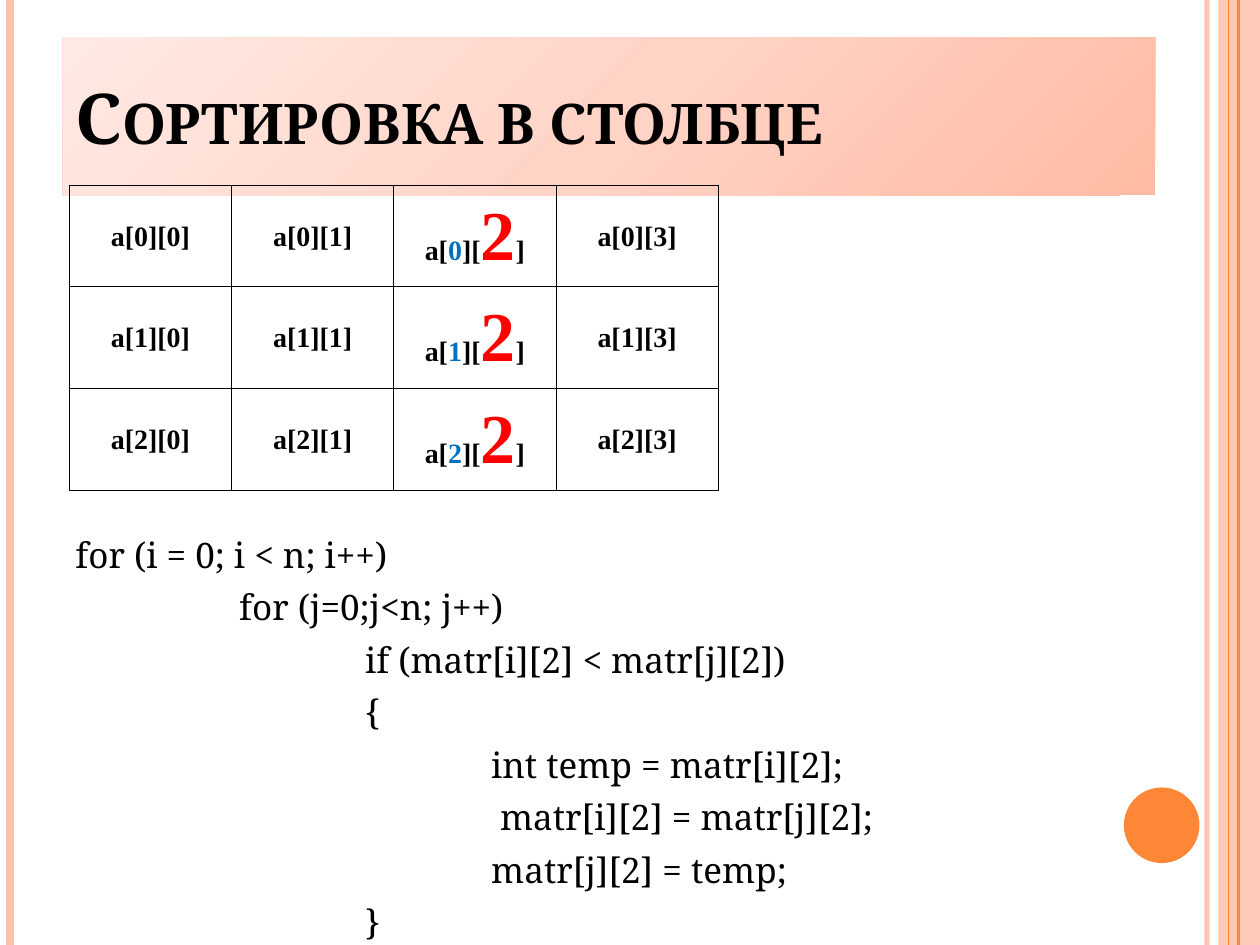
from lxml import etree
from pptx import Presentation
from pptx.dml.color import RGBColor
from pptx.enum.shapes import MSO_CONNECTOR, MSO_SHAPE
from pptx.enum.text import MSO_ANCHOR, PP_ALIGN
from pptx.oxml import parse_xml
from pptx.oxml.ns import nsdecls, qn
from pptx.util import Inches, Pt

STRAIGHT = MSO_CONNECTOR.STRAIGHT
RECTANGLE, OVAL = MSO_SHAPE.RECTANGLE, MSO_SHAPE.OVAL
MIDDLE, CENTER = MSO_ANCHOR.MIDDLE, PP_ALIGN.CENTER

WIDTH, HEIGHT = 10, 7.5
BLACK, BLUE, RED = "000000", "0070C0", "FF0000"
ORANGE, PEACH = "FE8637", "FEC3AE"
SERIF, TIMES = "Noto Serif", "Times New Roman"

TITLE = "Сортировка в столбце"
TITLE_GRADIENT = [(0, "FFBBA3"), (50, "FFD4C7"), (100, "FFEAE4")]
ROWS, COLUMNS, SORTED_COLUMN = 3, 4, 2
# Each code line with its left indent in inches
CODE = [
    (0, "for (i = 0; i < n; i++)"),
    (1.3, "for (j=0;j<n; j++)"),
    (2.3, "if (matr[i][2] < matr[j][2])"),
    (2.3, "{"),
    (3.3, "int temp = matr[i][2];"),
    (3.37, "matr[i][2] = matr[j][2];"),
    (3.3, "matr[j][2] = temp;"),
    (2.3, "}"),
]
# Each vertical line: x, colour, width in points, opacity in percent
RULES = [
    (9.58, PEACH, 3, 93),
    (0.08, PEACH, 4.5, 100),
    (9.83, ORANGE, 1.5, 100),
    (9.75, ORANGE, 0.75, 100),
]


def color(hex_string):
    """Turn a hex string into a colour."""
    return RGBColor.from_string(hex_string)


def set_alpha(element, percent):
    """Set the opacity of the solid colour inside an element."""
    for color_element in element.iter(qn("a:srgbClr")):
        etree.SubElement(color_element, qn("a:alpha")).set("val", str(percent * 1000))


def format_run(run, size, font, hex_string=BLACK, bold=False):
    """Set the font of one run."""
    run.font.size = Pt(size)
    run.font.name = font
    run.font.bold = bold
    run.font.color.rgb = color(hex_string)


def add_plain_shape(slide, kind, box, hex_string):
    """Add a filled shape without outline or shadow."""
    shape = slide.shapes.add_shape(kind, *map(Inches, box))
    shape.shadow.inherit = False
    shape.line.fill.background()
    shape.fill.solid()
    shape.fill.fore_color.rgb = color(hex_string)
    return shape


def add_rule(slide, x, hex_string, width, opacity):
    """Add a vertical line over the full height of the slide."""
    line = slide.shapes.add_connector(STRAIGHT, Inches(x), 0, Inches(x), Inches(HEIGHT))
    line.line.color.rgb = color(hex_string)
    line.line.width = Pt(width)
    properties = line._element.spPr
    if opacity < 100:
        set_alpha(properties, opacity)
    etree.SubElement(properties, qn("a:effectLst"))


def add_decoration(slide):
    """Draw the side stripes and the circle."""
    band = add_plain_shape(slide, RECTANGLE, (9.67, 0, 0.33, HEIGHT), PEACH)
    set_alpha(band._element.spPr, 87)
    for rule in RULES:
        add_rule(slide, *rule)
    add_plain_shape(slide, OVAL, (8.92, 6.25, 0.6, 0.6), ORANGE)


def add_title(slide, box):
    """Add the title in small capitals on a gradient."""
    shape = add_plain_shape(slide, RECTANGLE, box, PEACH)
    stops = "".join(
        f'<a:gs pos="{position * 1000}"><a:srgbClr val="{hex_string}"/></a:gs>'
        for position, hex_string in TITLE_GRADIENT
    )
    properties = shape._element.spPr
    gradient = parse_xml(
        f'<a:gradFill {nsdecls("a")} rotWithShape="1"><a:gsLst>{stops}</a:gsLst>'
        '<a:lin ang="13500000" scaled="0"/></a:gradFill>'
    )
    properties.replace(properties.find(qn("a:solidFill")), gradient)
    frame = shape.text_frame
    frame.text = TITLE
    frame.word_wrap = True
    frame.vertical_anchor = MIDDLE
    paragraph = frame.paragraphs[0]
    paragraph.alignment = PP_ALIGN.LEFT
    run = paragraph.runs[0]
    format_run(run, 40, SERIF, bold=True)
    run.font._element.set("cap", "small")


def set_borders(cell):
    """Give a cell thin black borders on all sides."""
    properties = cell._tc.get_or_add_tcPr()
    for index, side in enumerate(("lnL", "lnR", "lnT", "lnB")):
        border = parse_xml(
            f'<a:{side} {nsdecls("a")} w="6350"><a:solidFill>'
            f'<a:srgbClr val="{BLACK}"/></a:solidFill></a:{side}>'
        )
        properties.insert(index, border)


def fill_cell(cell, row, column):
    """Write one matrix element, with marked indices in the sorted column."""
    cell.fill.background()
    set_borders(cell)
    cell.vertical_anchor = MIDDLE
    cell.margin_left = cell.margin_right = cell.margin_top = Inches(0.01)
    cell.margin_bottom = 0
    pieces = [(f"a[{row}][{column}]", 16, BLACK)]
    if column == SORTED_COLUMN:
        pieces = [
            ("a[", 16, BLACK),
            (str(row), 16, BLUE),
            ("][", 16, BLACK),
            (str(column), 40, RED),
            ("]", 16, BLACK),
        ]
    paragraph = cell.text_frame.paragraphs[0]
    paragraph.alignment = CENTER
    for text, size, hex_string in pieces:
        run = paragraph.add_run()
        run.text = text
        format_run(run, size, TIMES, hex_string, bold=True)


def add_matrix(slide, box):
    """Add the table of matrix elements."""
    table = slide.shapes.add_table(ROWS, COLUMNS, *map(Inches, box)).table
    table.first_row = table.horz_banding = False
    for row in range(ROWS):
        for column in range(COLUMNS):
            fill_cell(table.cell(row, column), row, column)


def add_code(slide, box):
    """Add the code lines, indented by nesting level."""
    frame = slide.shapes.add_textbox(*map(Inches, box)).text_frame
    frame.word_wrap = True
    frame.margin_top = frame.margin_bottom = 0
    frame.text = "\n".join(text for _, text in CODE)
    for paragraph, (indent, _) in zip(frame.paragraphs, CODE):
        paragraph.line_spacing = Pt(30)
        paragraph._p.get_or_add_pPr().set("marL", str(Inches(indent)))
        format_run(paragraph.runs[0], 20, SERIF)


def main():
    """Build and save the slide."""
    presentation = Presentation()
    presentation.slide_width, presentation.slide_height = Inches(WIDTH), Inches(HEIGHT)
    slide = presentation.slides.add_slide(presentation.slide_layouts[6])
    add_decoration(slide)
    add_title(slide, (0.5, 0.3, 8.67, 1.25))
    add_code(slide, (0.5, 4.15, 8.72, 3.33))
    add_matrix(slide, (0.55, 1.47, 5.15, 2.42))
    presentation.save("out.pptx")


main()
